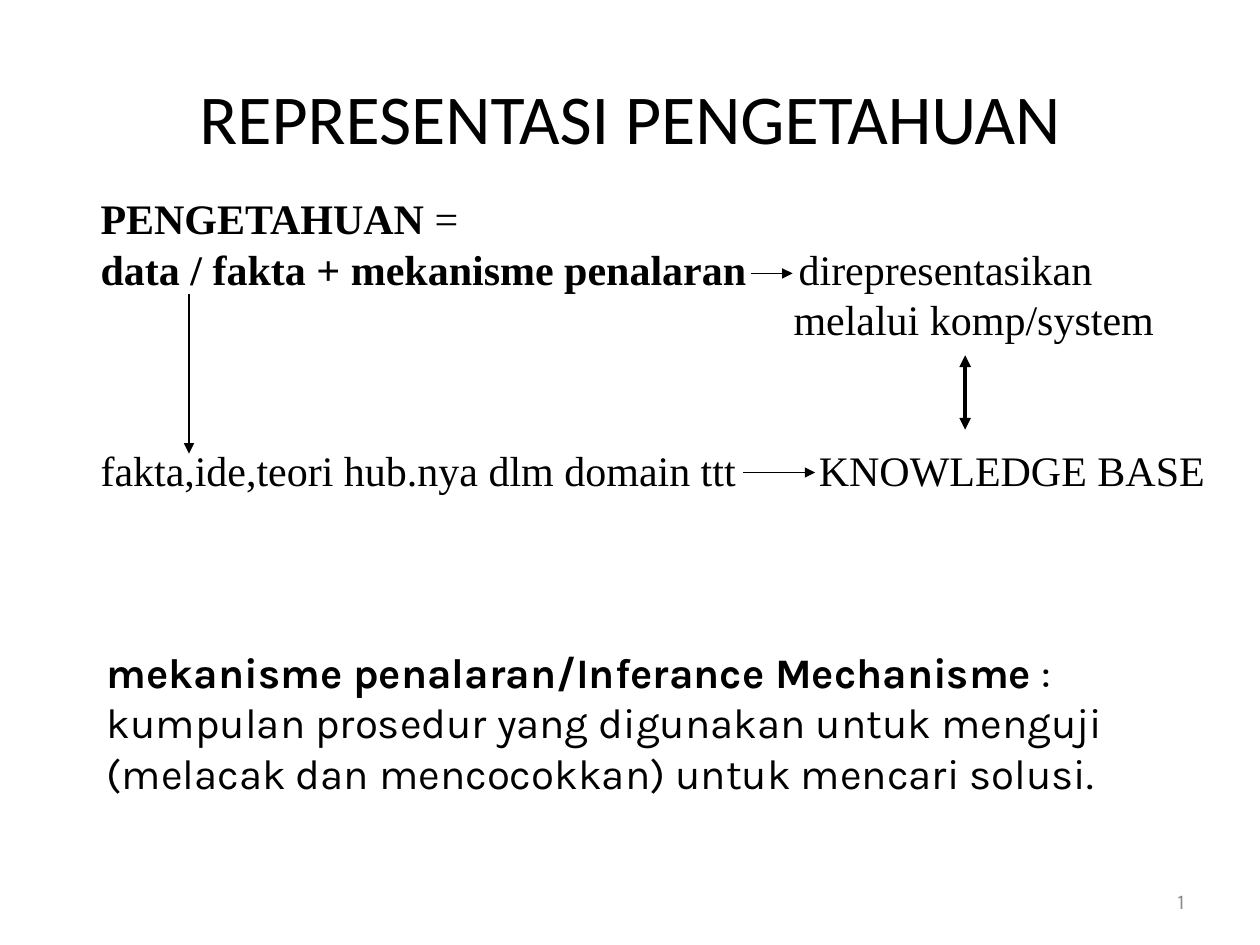
from lxml.etree import SubElement
from pptx import Presentation
from pptx.dml.color import RGBColor
from pptx.enum.shapes import MSO_CONNECTOR, MSO_SHAPE
from pptx.enum.text import MSO_ANCHOR as Anchor, PP_ALIGN as Align
from pptx.oxml.ns import qn
from pptx.util import Inches, Pt


def color(value):
    return RGBColor.from_string(value)


class SlideBuilder:
    ink = "000000"
    paper = "FFFFFF"
    muted = "898989"
    sans = "Karla"
    serif = "Times New Roman"
    heading = "Calibri"

    def __init__(self, slide):
        self.slide = slide

    def text(self, box, paragraphs, **style):
        shape = self.slide.shapes.add_textbox(*map(Inches, box))
        self.fill_text(shape, paragraphs, **style)

    def panel(self, box, paragraphs, **style):
        shape = self.slide.shapes.add_shape(MSO_SHAPE.RECTANGLE, *map(Inches, box))
        shape.shadow.inherit = False
        shape.fill.solid()
        shape.fill.fore_color.rgb = color(self.paper)
        shape.line.fill.background()
        self.fill_text(shape, paragraphs, **style)

    def fill_text(self, shape, paragraphs, font, size, ink=ink,
                  align=Align.LEFT, anchor=Anchor.TOP, leading=None):
        frame = shape.text_frame
        frame.word_wrap = True
        frame.vertical_anchor = anchor
        for index, (bold_text, plain_text, tab, lines_before) in enumerate(paragraphs):
            paragraph = frame.paragraphs[0] if index == 0 else frame.add_paragraph()
            if tab:
                tabs = SubElement(paragraph._p.get_or_add_pPr(), qn("a:tabLst"))
                SubElement(tabs, qn("a:tab"), pos=str(Inches(tab)), algn="l")
            paragraph.alignment = align
            if leading:
                paragraph.line_spacing = Pt(leading)
            if lines_before:
                paragraph.space_before = Pt(lines_before * leading)
            paragraph.font.name = font
            paragraph.font.size = Pt(size)
            paragraph.font.color.rgb = color(ink)
            for content, bold in ((bold_text, True), (plain_text, False)):
                if content:
                    run = paragraph.add_run()
                    run.text = content
                    run.font.bold = bold

    def arrow(self, start, end, width=0.75, double=False):
        connector = self.slide.shapes.add_connector(
            MSO_CONNECTOR.STRAIGHT, *map(Inches, start + end))
        connector.line.color.rgb = color(self.ink)
        connector.line.width = Pt(width)
        line = connector.line._get_or_add_ln()
        for end_name in ("a:headEnd", "a:tailEnd") if double else ("a:tailEnd",):
            SubElement(line, qn(end_name), type="triangle")
        SubElement(connector._element.spPr, qn("a:effectLst"))


def main():
    presentation = Presentation()
    presentation.slide_width = Inches(10)
    presentation.slide_height = Inches(7.5)
    slide = presentation.slides.add_slide(presentation.slide_layouts[6])
    builder = SlideBuilder(slide)

    builder.text((0.5, 0.3, 9, 1.25), [("", "REPRESENTASI PENGETAHUAN", 0, 0)],
                 font=builder.heading, size=40, align=Align.CENTER, anchor=Anchor.MIDDLE)
    builder.text((7.17, 6.95, 2.33, 0.4), [("", "1", 0, 0)], font=builder.sans,
                 size=12, ink=builder.muted, align=Align.RIGHT, anchor=Anchor.MIDDLE)
    builder.panel((0.7, 1.48, 9, 3.54), [
        ("PENGETAHUAN", " =", 0, 0),
        ("data / fakta + mekanisme penalaran", "\tdirepresentasikan", 5.54, 0),
        ("", "\tmelalui komp/system", 5.5, 0),
        ("", "fakta,ide,teori hub.nya dlm domain ttt\tKNOWLEDGE BASE", 5.7, 2),
    ], font=builder.serif, size=24, leading=28.8)

    builder.arrow((1.5, 2.33), (1.5, 3.6))
    builder.arrow((5.96, 2.17), (6.29, 2.17))
    builder.arrow((7.66, 2.82), (7.66, 3.41), width=2.25, double=True)
    builder.arrow((5.9, 3.75), (6.47, 3.75))

    builder.text((0.75, 5.08, 8.5, 1.3), [
        ("mekanisme penalaran/Inferance Mechanisme", " :", 0, 0),
        ("", "kumpulan prosedur yang digunakan untuk menguji "
             "(melacak dan mencocokkan) untuk mencari solusi.", 0, 0),
    ], font=builder.sans, size=24, leading=28.8)

    presentation.save("out.pptx")


if __name__ == "__main__":
    main()
